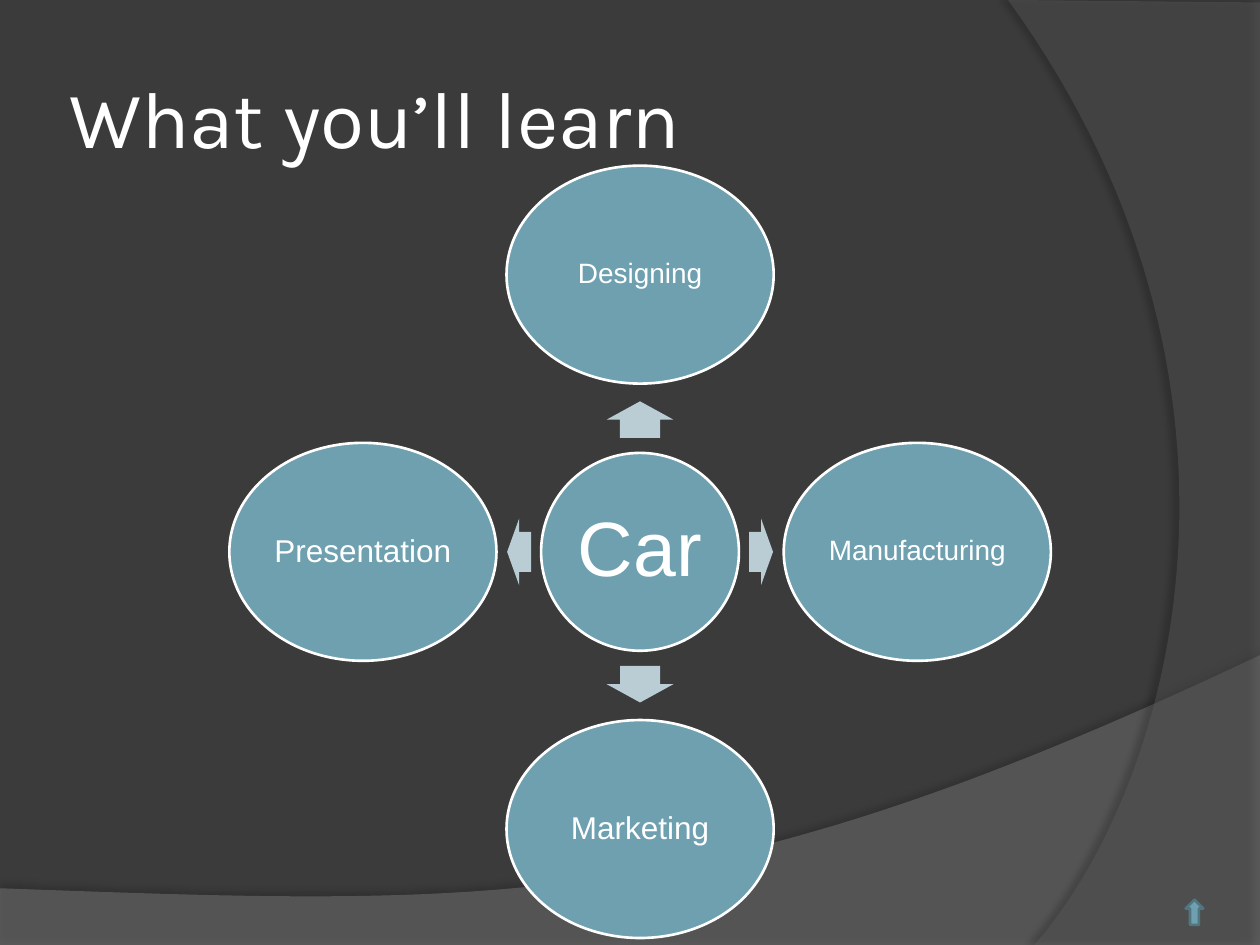
from lxml.etree import SubElement
from pptx import Presentation
from pptx.dml.color import RGBColor
from pptx.enum.shapes import MSO_SHAPE
from pptx.enum.text import MSO_ANCHOR, PP_ALIGN
from pptx.oxml.ns import qn
from pptx.util import Inches, Pt

DARK = RGBColor(0x3B, 0x3B, 0x3B)
WAVE_GREY = RGBColor(0x7F, 0x7F, 0x7F)
EDGE_GREY = RGBColor(0x5E, 0x5E, 0x5E)
TEAL = RGBColor(0x6E, 0xA0, 0xB0)
DEEP_TEAL = RGBColor(0x51, 0x76, 0x82)
PALE_TEAL = RGBColor(0xBA, 0xCD, 0xD4)
WHITE = RGBColor(0xFF, 0xFF, 0xFF)

CENTER_X, CENTER_Y = 5.08, 4.38
TOPIC_REACH = 2.2
TOPICS = [
    ("Designing", 16, 0.02, 0, -1, 270),
    ("Manufacturing", 16, 0.02, 1, 0, 0),
    ("Marketing", 18, 0.03, 0, 1, 90),
    ("Presentation", 18, 0.03, -1, 0, 180),
]


def bezier(start, control1, control2, end, steps=60):
    return [
        tuple(
            (1 - t) ** 3 * a + 3 * (1 - t) ** 2 * t * b + 3 * (1 - t) * t**2 * c + t**3 * d
            for a, b, c, d in zip(start, control1, control2, end)
        )
        for t in (step / steps for step in range(steps + 1))
    ]


class SlideBuilder:
    """Hold the slide and its style, and add each kind of element."""

    title_font = "Karla"
    body_font = "Arial"
    line_width = Pt(1.5)

    def __init__(self, presentation):
        self.slide = presentation.slides.add_slide(presentation.slide_layouts[6])
        fill = self.slide.background.fill
        fill.solid()
        fill.fore_color.rgb = DARK

    def paint(self, shape, color, line_color=None):
        shape.shadow.inherit = False
        shape.fill.solid()
        shape.fill.fore_color.rgb = color
        if line_color is None:
            shape.line.fill.background()
        else:
            shape.line.color.rgb = line_color
            shape.line.width = self.line_width

    def add_text(self, shape, text, size, font, inset):
        frame = shape.text_frame
        frame.word_wrap = True
        frame.vertical_anchor = MSO_ANCHOR.MIDDLE
        frame.margin_left = frame.margin_right = Inches(inset)
        frame.margin_top = frame.margin_bottom = Inches(inset)
        paragraph = frame.paragraphs[0]
        run = paragraph.add_run()
        run.text = text
        run.font.size = Pt(size)
        run.font.name = font
        run.font.color.rgb = WHITE
        return paragraph

    def title(self, text, left, top, width, height):
        box = self.slide.shapes.add_textbox(
            Inches(left), Inches(top), Inches(width), Inches(height)
        )
        self.add_text(box, text, 46, self.title_font, 0.05)

    def centered(self, preset, x, y, width, height, color, line_color=None):
        shape = self.slide.shapes.add_shape(
            preset, Inches(x - width / 2), Inches(y - height / 2), Inches(width), Inches(height)
        )
        self.paint(shape, color, line_color)
        return shape

    def bubble(self, text, x, y, width, height, size, inset):
        shape = self.centered(MSO_SHAPE.OVAL, x, y, width, height, TEAL, WHITE)
        paragraph = self.add_text(shape, text, size, self.body_font, inset)
        paragraph.alignment = PP_ALIGN.CENTER
        paragraph.line_spacing = 0.9

    def arrow(self, x, y, length, rotation):
        shape = self.centered(MSO_SHAPE.RIGHT_ARROW, x, y, length, 0.53, PALE_TEAL)
        shape.adjustments[0] = 0.6
        shape.adjustments[1] = 0.5
        shape.rotation = rotation

    def swoosh(self, points, color, opacity, shadow_opacity, distance, direction):
        corners = [(Inches(x), Inches(y)) for x, y in points]
        builder = self.slide.shapes.build_freeform(*corners[0])
        builder.add_line_segments(corners[1:], close=True)
        shape = builder.convert_to_shape()
        self.paint(shape, color)
        properties = shape.element.spPr
        fill_color = properties.find(qn("a:solidFill"))[0]
        SubElement(fill_color, qn("a:alpha"), val=str(opacity * 1000))
        shadow = SubElement(
            properties.find(qn("a:effectLst")), qn("a:outerShdw"),
            blurRad=str(Pt(4)), dist=str(Pt(distance)), dir=str(direction * 60000),
            algn="ctr", rotWithShape="0",
        )
        shadow_color = SubElement(shadow, qn("a:srgbClr"), val="000000")
        SubElement(shadow_color, qn("a:alpha"), val=str(shadow_opacity * 1000))


def main():
    presentation = Presentation()
    presentation.slide_width = Inches(10)
    presentation.slide_height = Inches(7.5)
    builder = SlideBuilder(presentation)

    wave = bezier((10, 5.2), (5.59, 7.29), (3.91, 7.19), (0, 7.05))
    builder.swoosh(wave + [(0, 7.51), (10, 7.51)], WAVE_GREY, 45, 35, 3.5, 270)
    edge = bezier((8.21, 7.5), (9.35, 6.19), (10.18, 3), (8, 0))
    builder.swoosh(edge + [(10, 0.02), (10, 7.5)], EDGE_GREY, 40, 45, 4, 180)

    builder.title("What you’ll learn", 0.5, 0.3, 8.17, 1.25)
    builder.bubble("Car", CENTER_X, CENTER_Y, 1.57, 1.57, 44, 0.06)
    for text, size, inset, step_x, step_y, rotation in TOPICS:
        reach, length = (0.96, 0.19) if step_x else (1.05, 0.29)
        builder.arrow(CENTER_X + step_x * reach, CENTER_Y + step_y * reach, length, rotation)
        builder.bubble(
            text, CENTER_X + step_x * TOPIC_REACH, CENTER_Y + step_y * TOPIC_REACH,
            2.12, 1.73, size, inset,
        )

    marker = builder.centered(MSO_SHAPE.DOWN_ARROW, 9.48, 7.24, 0.14, 0.2, TEAL, DEEP_TEAL)
    marker.rotation = 180
    presentation.save("out.pptx")


if __name__ == "__main__":
    main()
